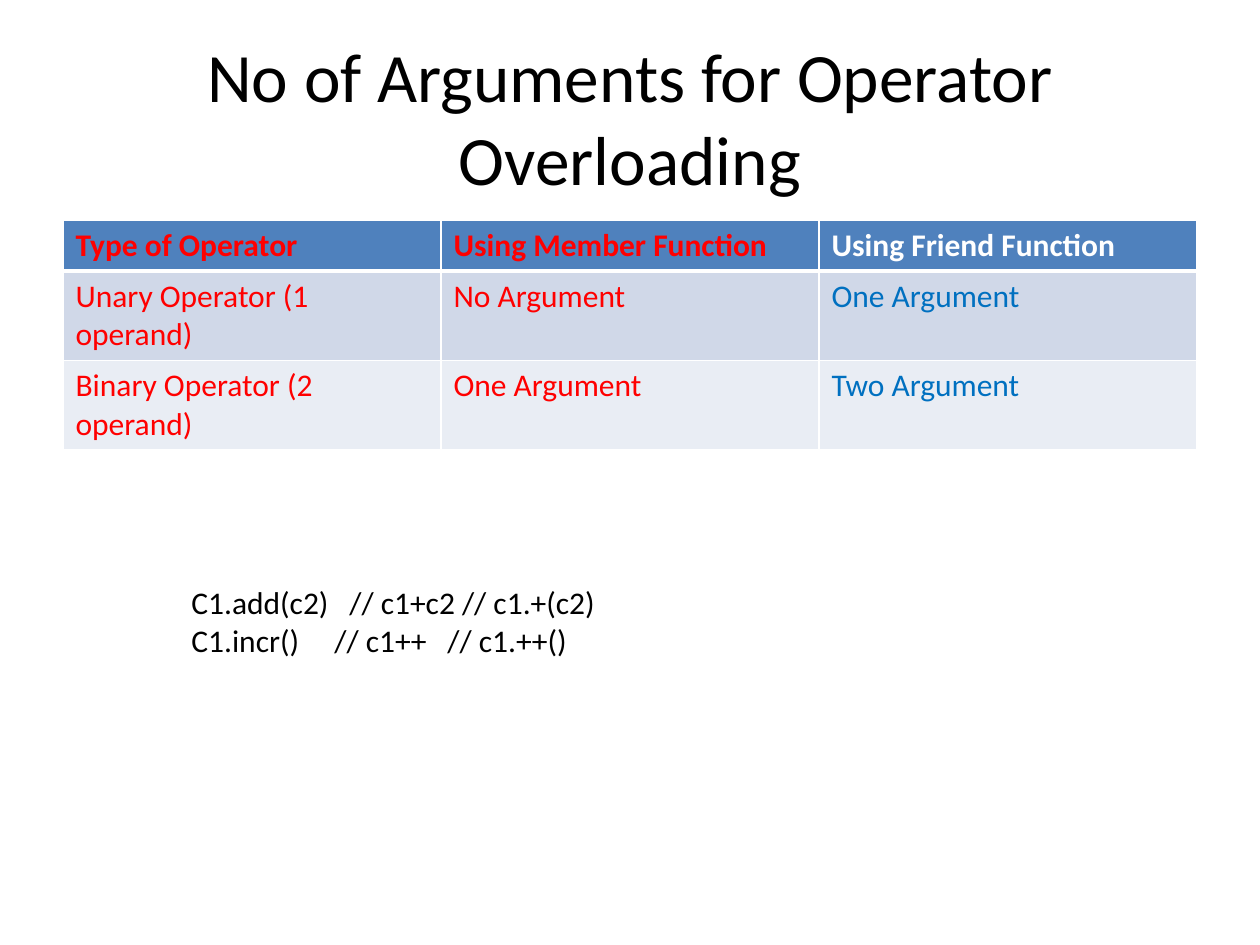
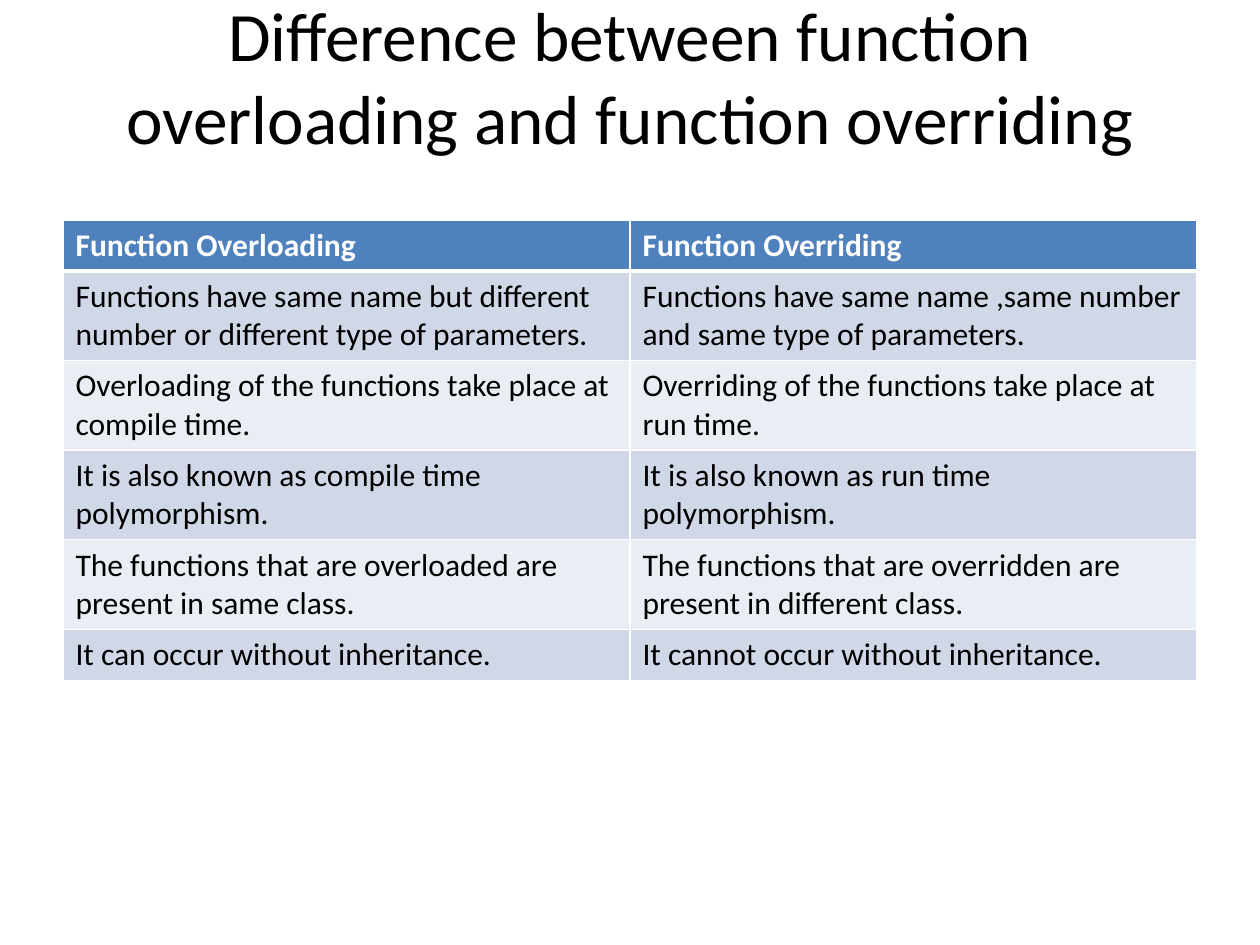
import lxml.etree
import pptx
import pptx.dml.color
import pptx.enum.text
import pptx.oxml.ns
import pptx.util

RGB = pptx.dml.color.RGBColor
BLACK = RGB(0x00, 0x00, 0x00)
WHITE = RGB(0xFF, 0xFF, 0xFF)
RED = RGB(0xFF, 0x00, 0x00)
BLUE = RGB(0x00, 0x70, 0xC0)
HEADER_FILL = RGB(0x4F, 0x81, 0xBD)
BAND_FILLS = (RGB(0xD0, 0xD8, 0xE8), RGB(0xE9, 0xED, 0xF4))

FONT = "Calibri"
TITLE_SIZE = 39.6
BODY_SIZE = 18
TITLE_BOX = (63, 38, 1134, 157)
TABLE_LEFT, TABLE_TOP, TABLE_WIDTH = 63, 220, 1134
ONE_LINE, TWO_LINES = 51, 89
TITLE_LINE = 83


def px(n):
    """Turn a whole number of px into EMU."""
    return pptx.util.Emu(n * 914400 // 126)


def add_run(p, text, size, color, bold=False):
    """Add one formatted run to a paragraph."""
    r = p.add_run()
    r.text = text
    r.font.name = FONT
    r.font.size = pptx.util.Pt(size)
    r.font.bold = bold
    r.font.color.rgb = color


def add_title_slide(prs, title, lift=0):
    """Add a title-only slide whose title sits half of lift px higher."""
    slide = prs.slides.add_slide(prs.slide_layouts[5])
    sp = slide.shapes.title
    sp.left, sp.top, sp.width, sp.height = map(px, TITLE_BOX)
    tf = sp.text_frame
    tf.word_wrap = True
    tf.auto_size = pptx.enum.text.MSO_AUTO_SIZE.NONE
    tf.vertical_anchor = pptx.enum.text.MSO_ANCHOR.MIDDLE
    tf.margin_bottom = px(6 + lift)
    p = tf.paragraphs[0]
    p.alignment = pptx.enum.text.PP_ALIGN.CENTER
    add_run(p, title, TITLE_SIZE, BLACK)
    return slide


def set_borders(cell, top, bottom):
    """Give a cell white borders, with top and bottom widths in points."""
    tc_pr = cell._tc.get_or_add_tcPr()
    widths = {"a:lnL": 1, "a:lnR": 1, "a:lnT": top, "a:lnB": bottom}
    for i, (tag, width) in enumerate(widths.items()):
        ln = lxml.etree.Element(pptx.oxml.ns.qn(tag), w=str(pptx.util.Pt(width)))
        fill = lxml.etree.SubElement(ln, pptx.oxml.ns.qn("a:solidFill"))
        lxml.etree.SubElement(fill, pptx.oxml.ns.qn("a:srgbClr"), val=str(WHITE))
        tc_pr.insert(i, ln)


def add_banded_table(slide, rows, heights, header_colors, body_colors):
    """Add a table with a header row, banded body and a colour per column."""
    columns = len(rows[0])
    frame = slide.shapes.add_table(
        len(rows), columns, px(TABLE_LEFT), px(TABLE_TOP), px(TABLE_WIDTH), px(sum(heights)))
    table = frame.table
    for column in table.columns:
        column.width = px(TABLE_WIDTH // columns)
    for i, (texts, height) in enumerate(zip(rows, heights)):
        header = i == 0
        table.rows[i].height = px(height)
        colors = header_colors if header else body_colors
        for j, (text, color) in enumerate(zip(texts, colors)):
            cell = table.cell(i, j)
            cell.fill.solid()
            cell.fill.fore_color.rgb = HEADER_FILL if header else BAND_FILLS[(i - 1) % 2]
            set_borders(cell, 3 if i == 1 else 1, 3 if header else 1)
            add_run(cell.text_frame.paragraphs[0], text, BODY_SIZE, color, header)


def add_code_lines(slide, box, lines):
    """Add a text box of code lines, each with its own tab stops in px."""
    tf = slide.shapes.add_textbox(*map(px, box)).text_frame
    tf.word_wrap = True
    for i, (text, stops) in enumerate(lines):
        p = tf.add_paragraph() if i else tf.paragraphs[0]
        tabs = lxml.etree.SubElement(p._p.get_or_add_pPr(), pptx.oxml.ns.qn("a:tabLst"))
        for stop in stops:
            lxml.etree.SubElement(tabs, pptx.oxml.ns.qn("a:tab"), pos=str(px(stop)), algn="l")
        add_run(p, text, BODY_SIZE, BLACK)


def build_arguments_slide(prs):
    """Build the slide on the number of operator arguments."""
    slide = add_title_slide(prs, "No of Arguments for Operator Overloading")
    rows = [
        ("Type of Operator", "Using Member Function", "Using Friend Function"),
        ("Unary Operator (1 operand)", "No Argument", "One Argument"),
        ("Binary Operator (2 operand)", "One Argument", "Two Argument"),
    ]
    add_banded_table(slide, rows, [ONE_LINE, TWO_LINES, TWO_LINES],
                     (RED, RED, WHITE), (RED, RED, BLUE))
    add_code_lines(slide, (179, 577, 435, 89), [
        ("C1.add(c2)\t// c1+c2 // c1.+(c2)", [158]),
        ("C1.incr()\t// c1++\t// c1.++()", [143, 256]),
    ])


def build_difference_slide(prs):
    """Build the slide comparing overloading with overriding."""
    slide = add_title_slide(
        prs, "Difference between function overloading and function overriding", TITLE_LINE)
    rows = [
        ("Function Overloading", "Function Overriding"),
        ("Functions have same name but different number or different type of parameters.",
         "Functions have same name ,same number and same type of parameters."),
        ("Overloading of the functions take place at compile time.",
         "Overriding of the functions take place at run time."),
        ("It is also known as compile time polymorphism.",
         "It is also known as run time polymorphism."),
        ("The functions that are overloaded are present in same class.",
         "The functions that are overridden are present in different class."),
        ("It can occur without inheritance.", "It cannot occur without inheritance."),
    ]
    add_banded_table(slide, rows, [ONE_LINE] + [TWO_LINES] * 4 + [ONE_LINE],
                     (WHITE, WHITE), (BLACK, BLACK))


def main():
    """Build and save the presentation."""
    prs = pptx.Presentation()
    prs.slide_width, prs.slide_height = px(1260), px(945)
    build_arguments_slide(prs)
    build_difference_slide(prs)
    prs.save("out.pptx")


if __name__ == "__main__":
    main()
